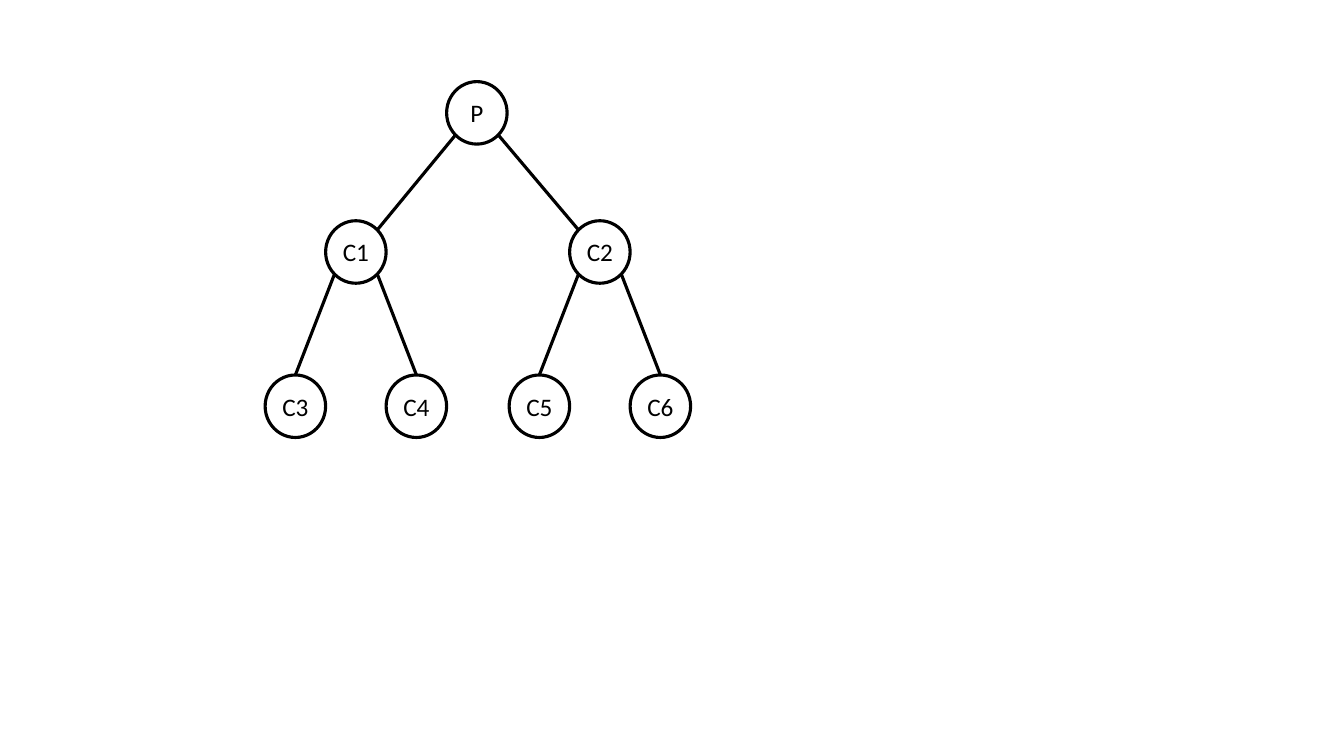
from dataclasses import dataclass
from math import sqrt

from pptx import Presentation
from pptx.dml.color import RGBColor
from pptx.enum.shapes import MSO_CONNECTOR, MSO_SHAPE
from pptx.enum.text import MSO_AUTO_SIZE, PP_ALIGN
from pptx.oxml.ns import qn
from pptx.util import Inches, Pt


@dataclass(frozen=True)
class Theme:
    ink: RGBColor = RGBColor(0, 0, 0)
    font: str = "Calibri"
    label_size: float = 18
    stroke: float = 2.25


THEME = Theme()
NODE_WIDTH, NODE_HEIGHT = 0.6, 0.62
LABEL_DROP, LABEL_HEIGHT = 0.11, 0.4
COLUMN_STEP, HALF_GAP = 0.6, 0.02
LEVEL_TOPS = (0, 1.38, 2.91)

# Name: (column in left-to-right order, level)
NODES = {
    "C3": (0, 2), "C4": (2, 2), "P": (3, 0), "C1": (1, 1),
    "C2": (5, 1), "C5": (4, 2), "C6": (6, 2),
}
CHILDREN = {"P": ("C1", "C2"), "C1": ("C3", "C4"), "C2": ("C5", "C6")}


def style_line(shape):
    shape.line.color.rgb = THEME.ink
    shape.line.width = Pt(THEME.stroke)


def add_node(page, name, left, top):
    # Circle
    circle = page.shapes.add_shape(
        MSO_SHAPE.OVAL, Inches(left), Inches(top),
        Inches(NODE_WIDTH), Inches(NODE_HEIGHT))
    circle.shadow.inherit = False
    circle.fill.background()
    style_line(circle)

    # Label
    width = 0.46 if len(name) > 1 else 0.33
    box = page.shapes.add_textbox(
        Inches(left + (NODE_WIDTH - width) / 2), Inches(top + LABEL_DROP),
        Inches(width), Inches(LABEL_HEIGHT))
    frame = box.text_frame
    frame.word_wrap = False
    frame.auto_size = MSO_AUTO_SIZE.SHAPE_TO_FIT_TEXT
    para = frame.paragraphs[0]
    para.alignment = PP_ALIGN.CENTER
    span = para.add_run()
    span.text = name
    span.font.name = THEME.font
    span.font.size = Pt(THEME.label_size)
    span.font.color.rgb = THEME.ink


def rim_point(corner, across, down):
    """Point on a node's rim; across and down are -1, 0 or 1."""
    left, top = corner
    reach = 1 / sqrt(across ** 2 + down ** 2)
    return (left + NODE_WIDTH / 2 * (1 + across * reach),
            top + NODE_HEIGHT / 2 * (1 + down * reach))


def add_branch(page, start, end):
    branch = page.shapes.add_connector(
        MSO_CONNECTOR.STRAIGHT, *(Inches(value) for value in (*start, *end)))
    style_line(branch)
    properties = branch._element.spPr
    properties.append(properties.makeelement(qn("a:effectLst"), {}))


def add_tree(page, left, top):
    middle = NODES["P"][0]
    corners = {
        name: (left + column * COLUMN_STEP + (HALF_GAP if column > middle else 0),
               top + LEVEL_TOPS[level])
        for name, (column, level) in NODES.items()
    }
    # Nodes
    for name, corner in corners.items():
        add_node(page, name, *corner)

    # Branches: leaves join at the top, inner nodes at the corner facing the parent
    for parent, children in CHILDREN.items():
        for side, child in zip((-1, 1), children):
            arrival = -side if child in CHILDREN else 0
            add_branch(page, rim_point(corners[parent], side, 1),
                       rim_point(corners[child], arrival, -1))


deck = Presentation()
deck.slide_width, deck.slide_height = Inches(13.33), Inches(7.5)
page = deck.slides.add_slide(deck.slide_layouts[6])
add_tree(page, 2.63, 0.81)
deck.save("out.pptx")
